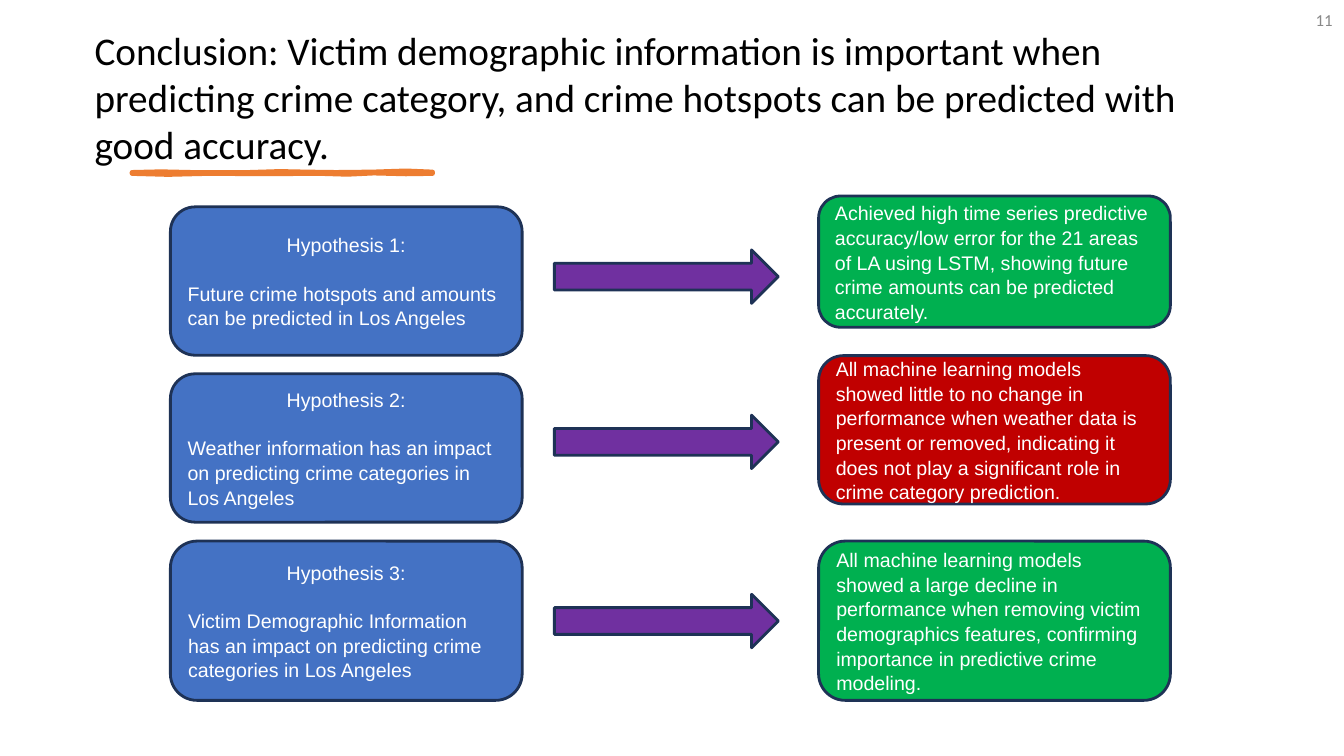
from pptx import Presentation
from pptx.dml.color import RGBColor
from pptx.enum.shapes import MSO_SHAPE
from pptx.enum.text import MSO_ANCHOR, PP_ALIGN
from pptx.util import Pt

ROUNDED, ARROW = MSO_SHAPE.ROUNDED_RECTANGLE, MSO_SHAPE.RIGHT_ARROW
LEFT, CENTER, RIGHT = PP_ALIGN.LEFT, PP_ALIGN.CENTER, PP_ALIGN.RIGHT
MIDDLE = MSO_ANCHOR.MIDDLE

BLACK = RGBColor(0x00, 0x00, 0x00)
WHITE = RGBColor(0xFF, 0xFF, 0xFF)
GRAY = RGBColor(0x88, 0x88, 0x88)
ORANGE = RGBColor(0xED, 0x7D, 0x31)
BLUE = RGBColor(0x44, 0x72, 0xC4)
NAVY = RGBColor(0x1E, 0x32, 0x56)
PURPLE = RGBColor(0x70, 0x30, 0xA0)
GREEN = RGBColor(0x00, 0xB0, 0x50)
RED = RGBColor(0xC0, 0x00, 0x00)


def add_text(sp, text, size=14, font="Arial", color=WHITE, align=LEFT, spacing=1.05, after=0):
    """Fill the empty first paragraph, or append a new one."""
    tf = sp.text_frame
    tf.word_wrap = True
    tf.vertical_anchor = MIDDLE
    p = tf.add_paragraph() if tf.text else tf.paragraphs[0]
    p.alignment = align
    p.line_spacing = spacing
    p.space_after = Pt(after)
    r = p.add_run()
    r.text = text
    r.font.size = Pt(size)
    r.font.name = font
    r.font.color.rgb = color


def add_block(kind, x, y, w, h, fill):
    sp = s.shapes.add_shape(kind, Pt(x), Pt(y), Pt(w), Pt(h))
    sp.shadow.inherit = False
    sp.fill.solid()
    sp.fill.fore_color.rgb = fill
    sp.line.color.rgb = NAVY
    sp.line.width = Pt(2)
    return sp


prs = Presentation()
prs.slide_width, prs.slide_height = Pt(960), Pt(540)
s = prs.slides.add_slide(prs.slide_layouts[6])

# Slide number and title
number = s.shapes.add_textbox(Pt(896), Pt(0), Pt(63), Pt(28.75))
add_text(number, "11", size=12, font="Calibri", color=GRAY, align=RIGHT, spacing=1)
title = s.shapes.add_textbox(Pt(60.5), Pt(15), Pt(839.5), Pt(108.75))
add_text(title, "Conclusion: Victim demographic information is important when predicting "
         "crime category, and crime hotspots can be predicted with good accuracy.",
         size=28, font="Calibri", color=BLACK, spacing=1)

# Hand-drawn underline: upper edge, then lower edge back
upper = [(115, 122.6), (137, 123.1), (178, 123.1), (200, 122.4), (219, 122.8),
         (240, 123.1), (266, 122.8), (290, 122), (309, 122.8)]
lower = [(309, 124), (290, 124.3), (267, 123.7), (248, 124.6), (229, 124),
         (189, 124.2), (148, 124), (120, 124.7), (94.3, 124)]
pen = s.shapes.build_freeform(Pt(94.3), Pt(123.1), scale=1.0)
pen.add_line_segments([(Pt(x), Pt(y)) for x, y in upper + lower], close=True)
underline = pen.convert_to_shape()
underline.shadow.inherit = False
underline.fill.solid()
underline.fill.fore_color.rgb = ORANGE
underline.line.color.rgb = ORANGE
underline.line.width = Pt(3.25)

# Each row: hypothesis (top, height, text), arrow top, finding (top, height, fill, text)
rows = [
    (147.75, 106, "Future crime hotspots and amounts can be predicted in Los Angeles",
     178.5, 140, 93.75, GREEN,
     "Achieved high time series predictive accuracy/low error for the 21 areas of LA "
     "using LSTM, showing future crime amounts can be predicted accurately."),
    (267, 106, "Weather information has an impact on predicting crime categories in Los Angeles",
     296.5, 254, 106, RED,
     "All machine learning models showed little to no change in performance when weather "
     "data is present or removed, indicating it does not play a significant role in crime "
     "category prediction."),
    (386.5, 113.75, "Victim Demographic Information has an impact on predicting crime "
     "categories in Los Angeles",
     424.5, 386.5, 113.75, GREEN,
     "All machine learning models showed a large decline in performance when removing "
     "victim demographics features, confirming importance in predictive crime modeling."),
]
for i, (y, h, claim, arrow_y, found_y, found_h, fill, finding) in enumerate(rows, 1):
    box = add_block(ROUNDED, 121.75, y, 251.25, h, BLUE)
    add_text(box, f"Hypothesis {i}:", align=CENTER, after=16.9)
    add_text(box, claim)
    add_block(ARROW, 396, arrow_y, 160, 38.25, PURPLE)
    result = add_block(ROUNDED, 584.75, found_y, 251.25, found_h, fill)
    add_text(result, finding)

prs.save("out.pptx")
